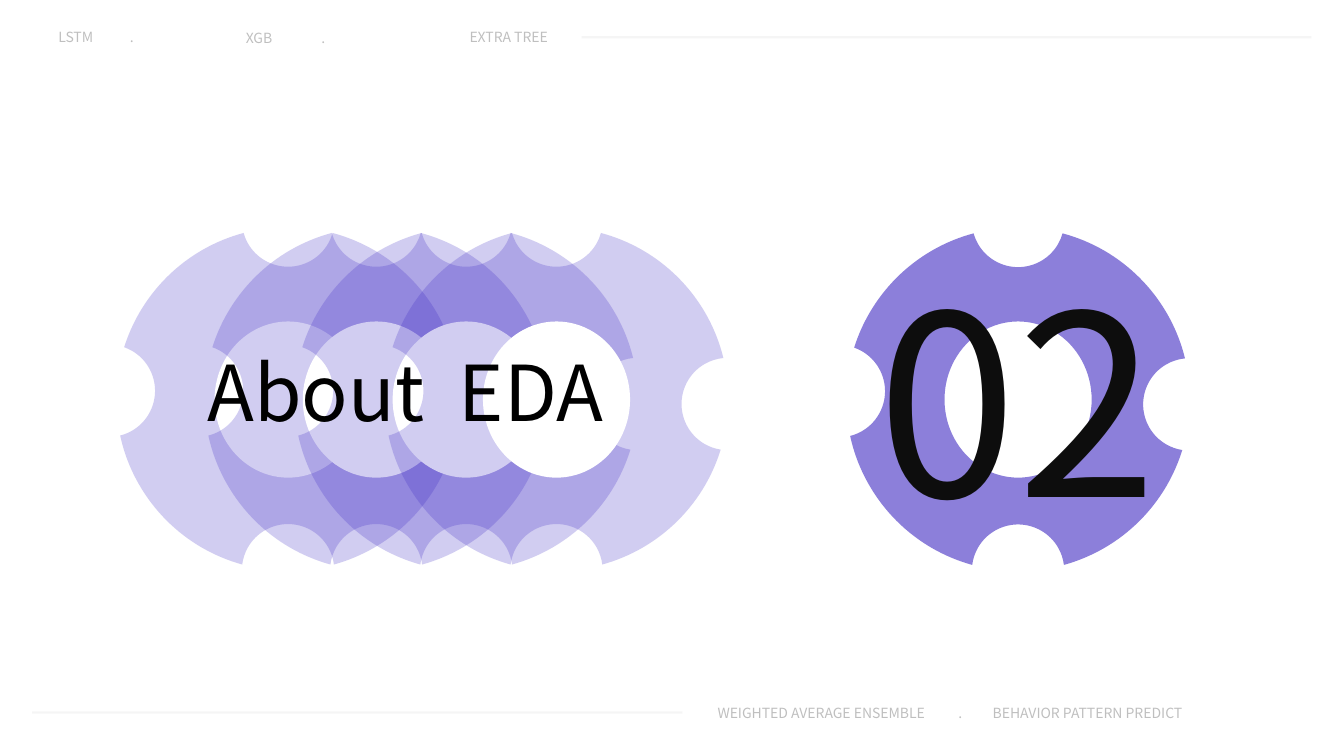
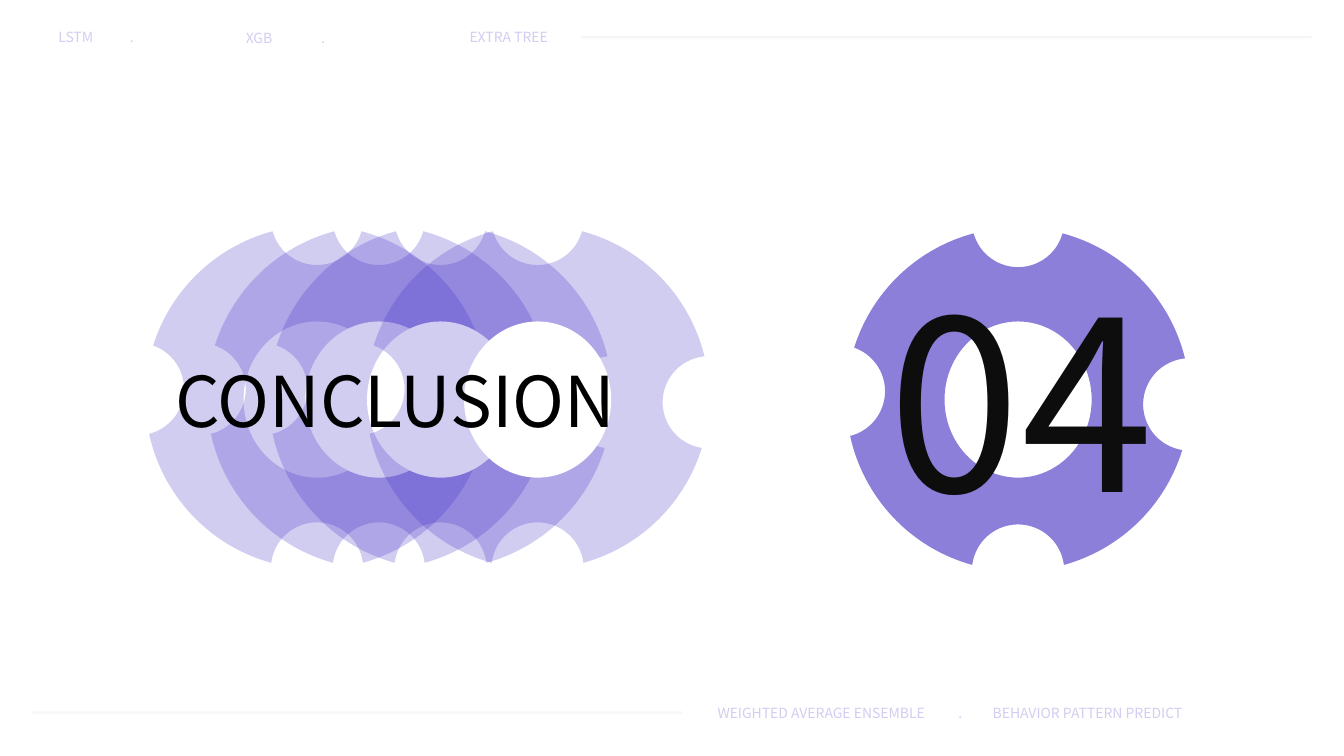
from dataclasses import dataclass
from math import acos, cos, degrees, pi, radians, sin

from lxml import etree
from pptx import Presentation
from pptx.dml import color
from pptx.enum import shapes, text
from pptx.oxml import ns
from pptx.util import Inches, Pt

SLIDE_WIDTH, SLIDE_HEIGHT = Inches(13.33), Inches(7.5)
CELL = SLIDE_WIDTH / 160
FONT = "Noto Sans CJK KR"
COLORS = {
    "ghost": "3B27C4",
    "ring": "8072D7",
    "hole": "FFFFFF",
    "rule": "A6A6A6",
    "title": "000000",
    "number": "0D0D0D",
    "gray": "BFBFBF",
    "lilac": "D2CDF1",
}
OUTER_RADIUS, BITE_RADIUS = 20.46, 5.5
HOLE_RADII = (8.76, 9.3)
HOLE_ROW = 47.58
RING_CENTER = (121.2, 47.55)


def cells(count: float) -> int:
    return round(count * CELL)


@dataclass(frozen=True)
class Arc:
    x: float
    y: float
    radii: tuple[float, float]
    start: float
    end: float

    def point(self, angle: float) -> tuple[int, int]:
        return (cells(self.x + self.radii[0] * cos(angle)),
                cells(self.y + self.radii[1] * sin(angle)))


@dataclass(frozen=True)
class Bite:
    angle: float
    distance: float


@dataclass(frozen=True)
class Box:
    column: float
    row: float
    columns: float
    rows: float


@dataclass(frozen=True)
class Label:
    words: str
    box: Box
    tabs: tuple[float, ...] = ()


@dataclass(frozen=True)
class Rule:
    start: float
    end: float
    row: float


@dataclass(frozen=True)
class Heading:
    words: str
    box: Box
    size: int


@dataclass(frozen=True)
class Section:
    title: Heading
    number: Heading
    ghost_columns: tuple[float, ...]
    ghost_row: float
    label_color: str


BITES = (Bite(-90, 21.24), Bite(1.7, 20.4), Bite(90, 20.4), Bite(182.6, 21.36))
LABELS = (
    Label("LSTM\t.", Box(5.76, 2.76, 88.68, 3.24), (8.52,)),
    Label("XGB\t.", Box(28.08, 2.88, 88.68, 3.24), (9,)),
    Label("EXTRA TREE", Box(54.72, 2.76, 88.68, 3.24)),
    Label("WEIGHTED AVERAGE ENSEMBLE\t.\tBEHAVIOR PATTERN PREDICT",
          Box(84.24, 83.28, 70.32, 3.24), (28.68, 32.76)),
)
RULES = (Rule(69.24, 156.12, 4.44), Rule(3.84, 81.24, 84.84))
SECTIONS = (
    Section(Heading("About  EDA", Box(23.52, 42.12, 54.36, 10.68), 55),
            Heading("02", Box(88.8, 25.56, 64.56, 40.8), 180),
            (34.3, 44.8, 55.5, 66.25), 47.5, "gray"),
    Section(Heading("CONCLUSION", Box(19.68, 41.28, 59.76, 12), 50),
            Heading("04", Box(89.28, 24.6, 64.56, 40.8), 170),
            (37.75, 45.1, 52.45, 64), 47.3, "lilac"),
)


def rgb(name: str) -> color.RGBColor:
    return color.RGBColor.from_string(COLORS[name])


def set_alpha(fill, percent: int) -> None:
    element = fill._xPr.find(".//" + ns.qn("a:srgbClr"))
    etree.SubElement(element, ns.qn("a:alpha"), val=str(percent * 1000))


def style_shape(shape, name: str, opacity: int = 100) -> None:
    shape.shadow.inherit = False
    shape.line.fill.background()
    shape.fill.solid()
    shape.fill.fore_color.rgb = rgb(name)
    if opacity < 100:
        set_alpha(shape.fill, opacity)


def half_angle(near: float, distance: float, far: float) -> float:
    return acos((near ** 2 + distance ** 2 - far ** 2) / (2 * near * distance))


def ring_arcs(x: float, y: float) -> list[Arc]:
    arcs = []
    for index, bite in enumerate(BITES):
        following = BITES[(index + 1) % len(BITES)]
        angle = radians(bite.angle)
        bite_half = half_angle(BITE_RADIUS, bite.distance, OUTER_RADIUS)
        arcs.append(Arc(x + bite.distance * cos(angle), y + bite.distance * sin(angle),
                        (BITE_RADIUS, BITE_RADIUS),
                        angle + pi + bite_half, angle + pi - bite_half))
        turn = radians((following.angle - bite.angle) % 360)
        arcs.append(Arc(
            x, y, (OUTER_RADIUS, OUTER_RADIUS),
            angle + half_angle(OUTER_RADIUS, bite.distance, BITE_RADIUS),
            angle + turn - half_angle(OUTER_RADIUS, following.distance, BITE_RADIUS)))
    return arcs


def bend_segments(shape, arcs: list[Arc]) -> None:
    segments = list(shape._element.iter(ns.qn("a:lnTo")))
    for segment, arc in zip(segments, arcs):
        curve = etree.Element(
            ns.qn("a:arcTo"), wR=str(cells(arc.radii[0])), hR=str(cells(arc.radii[1])),
            stAng=str(round(degrees(arc.start) % 360 * 60000)),
            swAng=str(round(degrees(arc.end - arc.start) * 60000)))
        segment.getparent().replace(segment, curve)


def draw_ring(slide, center: tuple[float, float], name: str, opacity: int,
              pierced: bool = False) -> None:
    contours = [ring_arcs(*center)]
    if pierced:
        contours.append([Arc(center[0], HOLE_ROW, HOLE_RADII, 2 * pi, pi),
                         Arc(center[0], HOLE_ROW, HOLE_RADII, pi, 0)])
    first = contours[0][0]
    builder = slide.shapes.build_freeform(*first.point(first.start), scale=1.0)
    for index, contour in enumerate(contours):
        if index:
            builder.move_to(*contour[0].point(contour[0].start))
        builder.add_line_segments([arc.point(arc.end) for arc in contour], close=True)
    shape = builder.convert_to_shape()
    bend_segments(shape, [arc for contour in contours for arc in contour])
    style_shape(shape, name, opacity)


def draw_ghosts(slide, section: Section) -> None:
    width, height = HOLE_RADII
    for column in section.ghost_columns:
        draw_ring(slide, (column, section.ghost_row), "ghost", 23)
        hole = slide.shapes.add_shape(
            shapes.MSO_SHAPE.OVAL, cells(column - width), cells(HOLE_ROW - height),
            cells(2 * width), cells(2 * height))
        style_shape(hole, "hole")


def add_text(slide, words: str, box: Box, size: int, name: str,
             tabs: tuple[float, ...] = ()):
    shape = slide.shapes.add_textbox(cells(box.column), cells(box.row),
                                     cells(box.columns), cells(box.rows))
    frame = shape.text_frame
    frame.word_wrap = True
    paragraph = frame.paragraphs[0]
    if tabs:
        tab_list = etree.SubElement(paragraph._p.get_or_add_pPr(), ns.qn("a:tabLst"))
        for position in tabs:
            etree.SubElement(tab_list, ns.qn("a:tab"), pos=str(cells(position)), algn="l")
    run = paragraph.add_run()
    run.text = words
    run.font.name = FONT
    run.font.size = Pt(size)
    run.font.color.rgb = rgb(name)
    return frame


def draw_frame(slide, label_color: str) -> None:
    for label in LABELS:
        frame = add_text(slide, label.words, label.box, 10, label_color, label.tabs)
        frame.auto_size = text.MSO_AUTO_SIZE.SHAPE_TO_FIT_TEXT
    for rule in RULES:
        connector = slide.shapes.add_connector(
            shapes.MSO_CONNECTOR.STRAIGHT, cells(rule.start), cells(rule.row),
            cells(rule.end), cells(rule.row))
        connector.line.width = Pt(1.5)
        connector.line.color.rgb = rgb("rule")
        set_alpha(connector.line.fill, 10)
        etree.SubElement(connector._element.spPr, ns.qn("a:effectLst"))


def draw_heading(slide, heading: Heading, name: str, alignment: text.PP_ALIGN) -> None:
    frame = add_text(slide, heading.words, heading.box, heading.size, name)
    frame.vertical_anchor = text.MSO_ANCHOR.BOTTOM
    frame.paragraphs[0].line_spacing = 0.9
    frame.paragraphs[0].alignment = alignment


def draw_section(presentation, section: Section) -> None:
    slide = presentation.slides.add_slide(presentation.slide_layouts[6])
    draw_ghosts(slide, section)
    draw_frame(slide, section.label_color)
    draw_heading(slide, section.title, "title", text.PP_ALIGN.LEFT)
    draw_ring(slide, RING_CENTER, "ring", 90, pierced=True)
    draw_heading(slide, section.number, "number", text.PP_ALIGN.CENTER)


def main() -> None:
    presentation = Presentation()
    presentation.slide_width, presentation.slide_height = SLIDE_WIDTH, SLIDE_HEIGHT
    for section in SECTIONS:
        draw_section(presentation, section)
    presentation.save("out.pptx")


if __name__ == "__main__":
    main()
